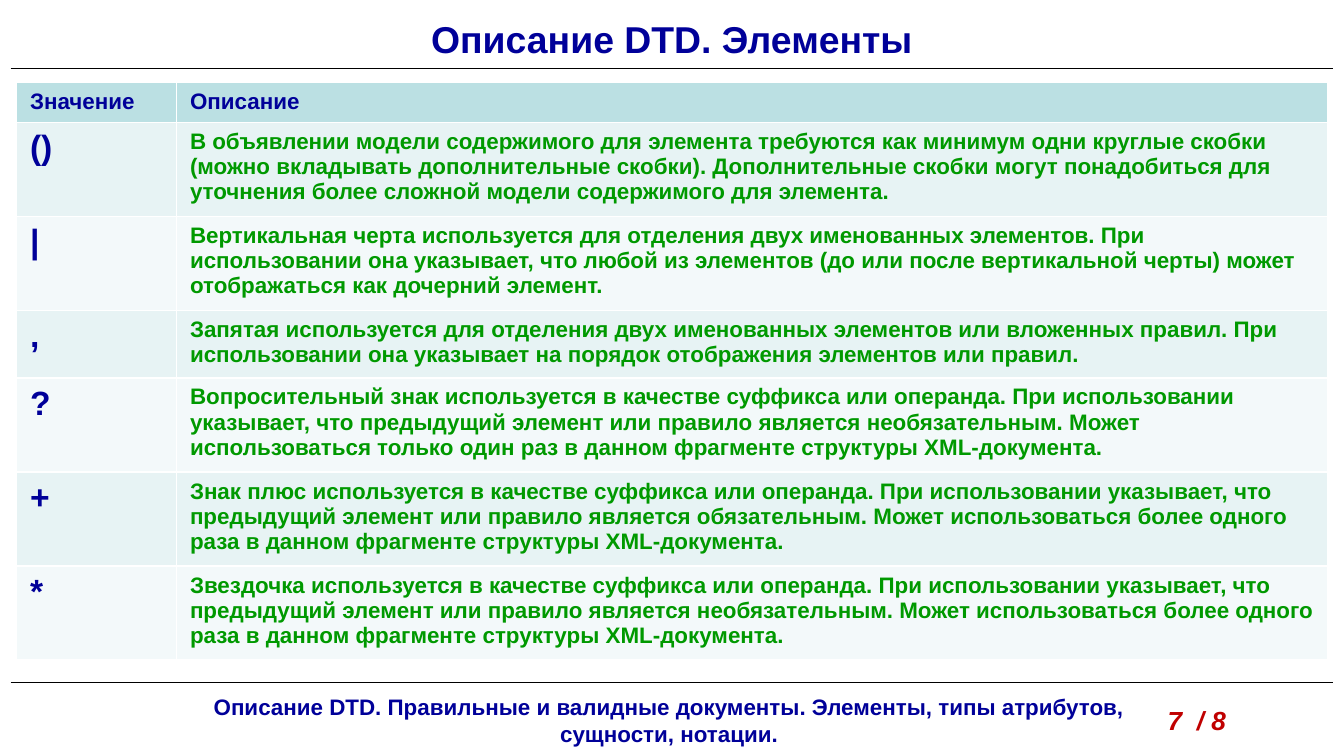
import pptx
import pptx.util
import pptx.dml.color
import pptx.enum.shapes
import pptx.enum.text
import pptx.oxml.ns
import lxml.etree

Pt = pptx.util.Pt
Color = pptx.dml.color.RGBColor.from_string
Align = pptx.enum.text.PP_ALIGN
Anchor = pptx.enum.text.MSO_ANCHOR

TITLE = "Описание DTD. Элементы"
FOOTER = "Описание DTD. Правильные и валидные документы. Элементы, типы атрибутов, сущности, нотации."
PAGE = "7  / 8"
HEAD = ("Значение", "Описание")
SIGNS = [
    ("()", "В объявлении модели содержимого для элемента требуются как минимум одни круглые скобки (можно вкладывать дополнительные скобки). Дополнительные скобки могут понадобиться для уточнения более сложной модели содержимого для элемента."),
    ("|", "Вертикальная черта используется для отделения двух именованных элементов. При использовании она указывает, что любой из элементов (до или после вертикальной черты) может отображаться как дочерний элемент."),
    (",", "Запятая используется для отделения двух именованных элементов или вложенных правил. При использовании она указывает на порядок отображения элементов или правил."),
    ("?", "Вопросительный знак используется в качестве суффикса или операнда. При использовании указывает, что предыдущий элемент или правило является необязательным. Может использоваться только один раз в данном фрагменте структуры XML-документа."),
    ("+", "Знак плюс используется в качестве суффикса или операнда. При использовании указывает, что предыдущий элемент или правило является обязательным. Может использоваться более одного раза в данном фрагменте структуры XML-документа."),
    ("*", "Звездочка используется в качестве суффикса или операнда. При использовании указывает, что предыдущий элемент или правило является необязательным. Может использоваться более одного раза в данном фрагменте структуры XML-документа."),
]

THEME = {
    "font": "Arial",
    "navy": "000099", "green": "009900", "red": "C00000", "black": "000000",
    "head": "BBE0E3", "bands": ("E7F3F4", "F3F9FA"),
    "title": 20, "sign": 18, "page": 14, "body": 12,
}
WIDE, HIGH = 720, 405
EDGE = 5.76
RULES = (36.6, 365.8)
COLS = (85.7, 617)
ROWS = (21.6, 50.4, 50.4, 36, 50.4, 50.4, 50.4)


def write(frame, text, size, color, align=Align.LEFT, slant=False):
    frame.text = text
    para = frame.paragraphs[0]
    para.alignment = align
    font = para.font
    font.name = THEME["font"]
    font.size = Pt(THEME[size])
    font.bold = True
    font.italic = slant
    font.color.rgb = Color(THEME[color])


def add_box(slide, place, *style):
    frame = slide.shapes.add_textbox(*map(Pt, place)).text_frame
    frame.word_wrap = True
    write(frame, *style)


def add_rule(slide, y):
    line = slide.shapes.add_connector(
        pptx.enum.shapes.MSO_CONNECTOR.STRAIGHT,
        Pt(EDGE), Pt(y), Pt(WIDE - EDGE), Pt(y))
    line.line.color.rgb = Color(THEME["black"])
    line.line.width = Pt(0.75)
    lxml.etree.SubElement(line._element.spPr, pptx.oxml.ns.qn("a:effectLst"))


def add_title(slide):
    title = slide.shapes.title
    title.left, title.top, title.width, title.height = map(Pt, (0, 4.3, WIDE, 32.4))
    frame = title.text_frame
    frame.auto_size = pptx.enum.text.MSO_AUTO_SIZE.NONE
    frame.vertical_anchor = Anchor.MIDDLE
    write(frame, TITLE, "title", "navy", Align.CENTER)


def fill_cell(cell, fill, *style):
    cell.fill.solid()
    cell.fill.fore_color.rgb = Color(fill)
    write(cell.text_frame, *style)


def add_signs(slide):
    table = slide.shapes.add_table(
        len(ROWS), len(COLS), Pt(8.9), Pt(43.9), Pt(sum(COLS)), Pt(sum(ROWS))).table
    for col, width in zip(table.columns, COLS):
        col.width = Pt(width)
    for row, height in zip(table.rows, ROWS):
        row.height = Pt(height)
    for col, text in enumerate(HEAD):
        fill_cell(table.cell(0, col), THEME["head"], text, "body", "navy")
    for row, (sign, note) in enumerate(SIGNS, 1):
        band = THEME["bands"][(row - 1) % 2]
        fill_cell(table.cell(row, 0), band, sign, "sign", "navy")
        fill_cell(table.cell(row, 1), band, note, "body", "green")


def main():
    deck = pptx.Presentation()
    deck.slide_width, deck.slide_height = Pt(WIDE), Pt(HIGH)
    slide = deck.slides.add_slide(deck.slide_layouts[5])
    add_box(slide, (90, 368, 537, 36), FOOTER, "body", "navy", Align.CENTER)
    for y in RULES:
        add_rule(slide, y)
    add_box(slide, (618.5, 373.7, 73.4, 24.5), PAGE, "page", "red", Align.LEFT, True)
    add_title(slide)
    add_signs(slide)
    deck.save("out.pptx")


if __name__ == "__main__":
    main()
